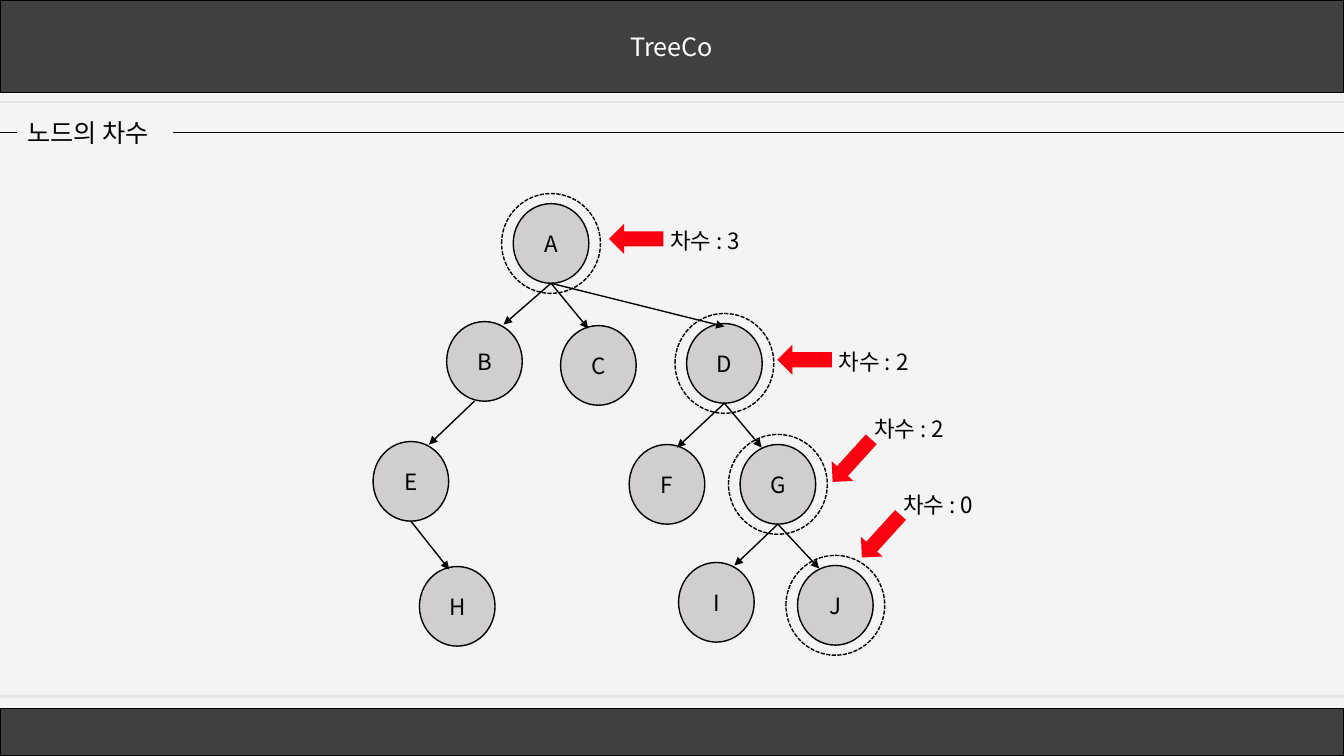
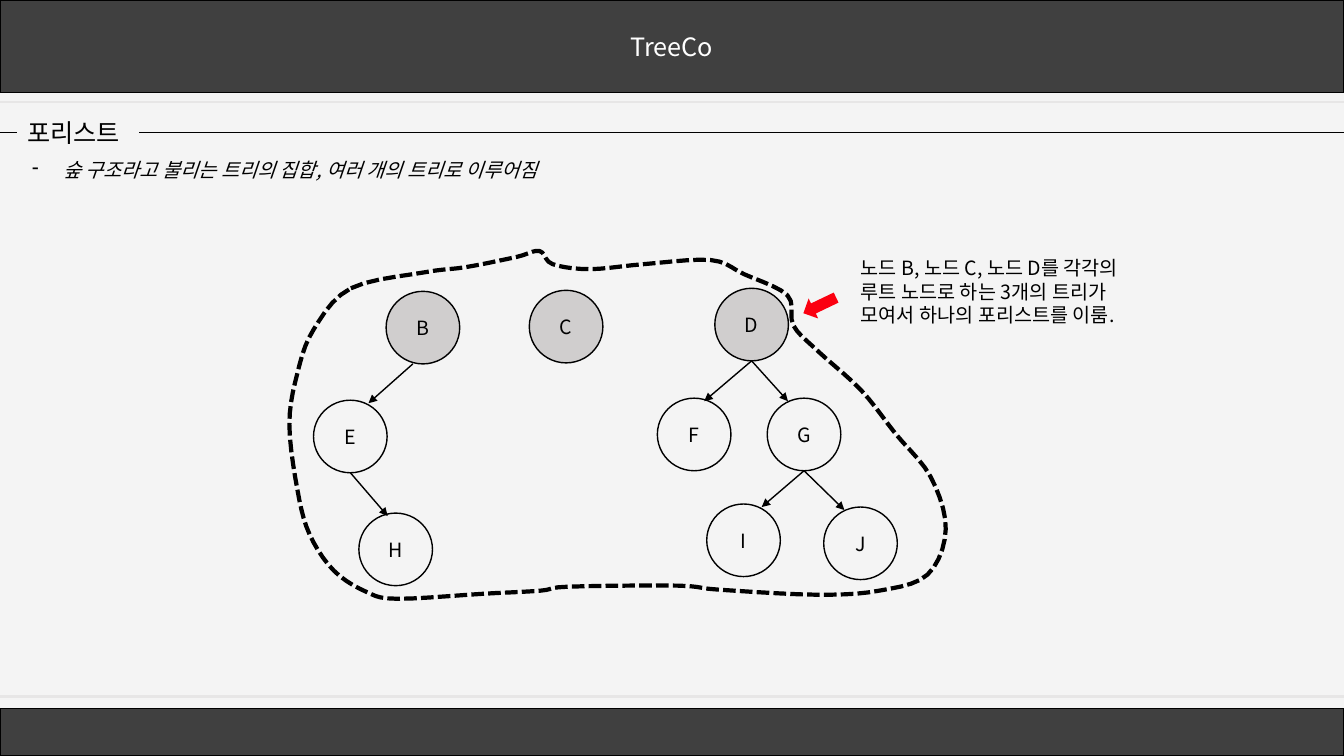
from itertools import chain

from lxml import etree
from pptx import Presentation
from pptx.dml.color import RGBColor
from pptx.enum import dml, shapes, text
from pptx.oxml.ns import qn
from pptx.util import Inches, Pt

BRAND = "TreeCo"
FONT = "Noto Sans CJK KR"
BLACK = RGBColor(0x00, 0x00, 0x00)
WHITE = RGBColor(0xFF, 0xFF, 0xFF)
PAPER = RGBColor(0xF4, 0xF4, 0xF4)
BAND = RGBColor(0x40, 0x40, 0x40)
RULE = RGBColor(0xE7, 0xE6, 0xE6)
NODE = RGBColor(0xD0, 0xCE, 0xCE)
RED = RGBColor(0xFB, 0x00, 0x10)
WIDTH, HEIGHT = 13.33, 7.5

# The tree that both slides show
CHILDREN = {"A": "BCD", "B": "E", "D": "FG", "E": "H", "G": "IJ"}
# Where an arrow meets its child, sideways from the child's top
TIP_SHIFT = {"B": 0.19, "C": -0.1, "D": 0, "E": 0.18, "F": 0.1,
             "G": -0.16, "H": -0.08, "I": 0.18, "J": -0.16}
TIP_DROP = 0.03
START_SHIFT = {"B": -0.1}

# Places are the left and top of each node
DEGREE = {
    "title": "노드의 차수", "title_width": 1.55,
    "node_size": (0.75, 0.79), "text_size": 16, "filled": "ABCDEFGHIJ",
    "places": {
        "A": (5.09, 2.02),
        "B": (4.43, 3.19), "C": (5.56, 3.23), "D": (6.81, 3.21),
        "E": (3.7, 4.38), "F": (6.24, 4.41), "G": (7.34, 4.41),
        "H": (4.16, 5.62), "I": (6.73, 5.58), "J": (7.91, 5.61),
    },
}
FOREST = {
    "title": "포리스트", "title_width": 1.21,
    "node_size": (0.73, 0.72), "text_size": 14, "filled": "BCD",
    "places": {
        "B": (3.83, 2.89), "C": (5.25, 2.88), "D": (7.09, 2.86),
        "E": (3.11, 3.97), "F": (6.52, 3.95), "G": (7.61, 3.95),
        "H": (3.56, 5.09), "I": (7.01, 5.0), "J": (8.17, 5.03),
    },
}

# How a pointer is drawn, and its label's corner measured from its centre
BESIDE = {"size": (0.3, 0.54), "rotation": 90, "label": (0.24, -0.17)}
ABOVE = {"size": (0.29, 0.57), "rotation": 42.2, "label": (0.12, -0.5)}
# Ringed node: centre of its pointer, and kind of pointer
POINTERS = {"A": ((6.31, 2.37), BESIDE), "D": ((7.98, 3.57), BESIDE),
            "G": ((8.45, 4.57), ABOVE), "J": ((8.74, 5.32), ABOVE)}
DEGREE_LABEL = "차수 : {}"
RING_SIZE = (0.98, 0.99)

FOREST_MEANING = "숲 구조라고 불리는 트리의 집합, 여러 개의 트리로 이루어짐"
FOREST_NOTE = ["노드 B, 노드 C, 노드 D를 각각의",
               "루트 노드로 하는 3개의 트리가",
               "모여서 하나의 포리스트를 이룸."]
# The dashed border turns at these corners, clockwise
BORDER = {
    "top": [(3.48, 2.86), (4.22, 2.7), (4.62, 2.65), (5.12, 2.55),
            (5.35, 2.49), (5.48, 2.62), (5.85, 2.67), (6.39, 2.62),
            (7.05, 2.58), (7.38, 2.72)],
    "right": [(7.81, 2.93), (7.87, 3.23), (8.12, 3.49), (8.54, 3.87),
              (8.88, 4.3), (9.23, 4.73), (9.38, 5.25), (9.2, 5.7)],
    "bottom": [(8.72, 5.86), (8.1, 5.9), (7.13, 5.85), (6.72, 5.81),
               (5.64, 5.82), (5.36, 5.86), (4.8, 5.89), (3.94, 5.94)],
    "left": [(3.63, 5.87), (3.31, 5.66), (3.07, 5.3), (2.95, 4.86),
             (2.87, 4.21), (2.95, 3.7), (3.11, 3.27)],
}
STEPS_PER_CORNER = 5


def write(shape, lines, size=16, color=BLACK, centered=False, wrap=False,
          italic=False, bullet=None):
    """Fill a shape with one paragraph per line, in one format."""
    frame = shape.text_frame
    frame.word_wrap = wrap
    anchors, fits = text.MSO_ANCHOR, text.MSO_AUTO_SIZE
    frame.vertical_anchor = anchors.MIDDLE if centered else anchors.TOP
    frame.auto_size = fits.NONE if centered else fits.SHAPE_TO_FIT_TEXT
    frame.margin_left = frame.margin_right = Inches(0.1)
    frame.margin_top = frame.margin_bottom = Inches(0.05)
    for index, line in enumerate(lines):
        paragraph = frame.add_paragraph() if index else frame.paragraphs[0]
        aligns = text.PP_ALIGN
        paragraph.alignment = aligns.CENTER if centered else aligns.LEFT
        run = paragraph.add_run()
        run.text = line
        font = run.font
        font.name, font.size, font.italic = FONT, Pt(size), italic
        font.color.rgb = color
        etree.SubElement(font._element, qn("a:ea")).set("typeface", FONT)
        if bullet:
            properties = paragraph._p.get_or_add_pPr()
            properties.set("marL", str(Inches(0.31)))
            properties.set("indent", str(-Inches(0.31)))
            etree.SubElement(properties, qn("a:buChar")).set("char", bullet)


def style(shape, fill=None, line=None, width=1, dashed=False):
    """Set fill and outline, without a shadow."""
    shape.shadow.inherit = False
    if fill is None:
        shape.fill.background()
    else:
        shape.fill.solid()
        shape.fill.fore_color.rgb = fill
    if line is None:
        shape.line.fill.background()
    else:
        shape.line.color.rgb = line
        shape.line.width = Pt(width)
    if dashed:
        shape.line.dash_style = dml.MSO_LINE.SQUARE_DOT


def add_figure(slide, kind, box, **look):
    """Add a preset shape at a box given in inches."""
    figure = slide.shapes.add_shape(kind, *map(Inches, box))
    style(figure, **look)
    return figure


def add_label(slide, box, lines, **form):
    """Add a text box at a box given in inches."""
    write(slide.shapes.add_textbox(*map(Inches, box)), lines, **form)


def add_line(slide, start, end, color=BLACK, width=1, arrow=False):
    """Add a straight line, with an arrowhead at its end if asked."""
    line = slide.shapes.add_connector(
        shapes.MSO_CONNECTOR.STRAIGHT, *map(Inches, (*start, *end)))
    line.line.color.rgb = color
    line.line.width = Pt(width)
    if arrow:
        tail = etree.SubElement(line.line._get_or_add_ln(), qn("a:tailEnd"))
        tail.set("type", "triangle")
    etree.SubElement(line._element.spPr, qn("a:effectLst"))


def box_around(center, size):
    """Give the box of a size that lies around a centre."""
    (x, y), (width, height) = center, size
    return x - width / 2, y - height / 2, width, height


def add_pointer(slide, center, size, rotation):
    """Add a red block arrow turned by some degrees."""
    pointer = add_figure(slide, shapes.MSO_SHAPE.DOWN_ARROW,
                         box_around(center, size), fill=RED)
    pointer.rotation = rotation


def add_page(deck, content):
    """Add a slide with bands, rules and its title."""
    slide = deck.slides.add_slide(deck.slide_layouts[5])
    rectangle = shapes.MSO_SHAPE.RECTANGLE
    header = add_figure(slide, rectangle, (0, 0, WIDTH, 0.92),
                        fill=BAND, line=BLACK)
    write(header, [BRAND], size=18, color=WHITE, centered=True, wrap=True)
    add_figure(slide, rectangle, (0, 7.03, WIDTH, 0.47), fill=BAND, line=BLACK)
    for y in (1.01, 6.91):
        add_line(slide, (0, y), (WIDTH, y), color=RULE, width=1.5)
    title, left, width = slide.shapes.title, 0.17, content["title_width"]
    title.left, title.top = Inches(left), Inches(1.11)
    title.width, title.height = Inches(width), Inches(0.4)
    write(title, [content["title"]], size=18)
    for start, end in ((0, left), (left + width, WIDTH)):
        add_line(slide, (start, 1.31), (end, 1.31), width=0.5)
    return slide


def add_tree(slide, content):
    """Draw the nodes, then an arrow from each parent to each child."""
    places = content["places"]
    width, height = content["node_size"]
    for name, place in places.items():
        fill = NODE if name in content["filled"] else None
        node = add_figure(slide, shapes.MSO_SHAPE.OVAL,
                          (*place, width, height), fill=fill, line=BLACK)
        write(node, [name], size=content["text_size"], centered=True,
              wrap=True)
    for parent in filter(places.get, CHILDREN):
        left, top = places[parent]
        start = (left + width / 2 + START_SHIFT.get(parent, 0), top + height)
        for child in CHILDREN[parent]:
            left, top = places[child]
            tip = (left + width / 2 + TIP_SHIFT[child], top + TIP_DROP)
            add_line(slide, start, tip, arrow=True)


def smooth_loop(corners, steps):
    """Round a closed loop of corners with a Catmull-Rom curve."""
    loop = []
    for index, here in enumerate(corners):
        before = corners[index - 1]
        after, beyond = (corners[(index + ahead) % len(corners)]
                         for ahead in (1, 2))
        for step in range(steps):
            t = step / steps
            loop.append(tuple(
                b + t * (c - a + t * (2 * a - 5 * b + 4 * c - d
                                      + t * (3 * b - a - 3 * c + d))) / 2
                for a, b, c, d in zip(before, here, after, beyond)))
    return loop


def add_border(slide):
    """Draw the dashed border around the forest."""
    corners = list(chain.from_iterable(BORDER.values()))
    loop = [(Inches(x), Inches(y))
            for x, y in smooth_loop(corners, STEPS_PER_CORNER)]
    border = slide.shapes.build_freeform(*loop[0])
    border.add_line_segments(loop[1:], close=True)
    style(border.convert_to_shape(), line=BLACK, width=3, dashed=True)


def build_degree(deck):
    """Build the slide that counts the children of ringed nodes."""
    slide = add_page(deck, DEGREE)
    add_tree(slide, DEGREE)
    for name, (center, pointer) in POINTERS.items():
        node_center = [start + length / 2 for start, length in
                       zip(DEGREE["places"][name], DEGREE["node_size"])]
        add_figure(slide, shapes.MSO_SHAPE.OVAL,
                   box_around(node_center, RING_SIZE), line=BLACK, dashed=True)
        add_pointer(slide, center, pointer["size"], pointer["rotation"])
        corner = [c + shift for c, shift in zip(center, pointer["label"])]
        degree = len(CHILDREN.get(name, ""))
        add_label(slide, (*corner, 0.98, 0.37), [DEGREE_LABEL.format(degree)])


def build_forest(deck):
    """Build the slide on the forest left when the root is gone."""
    slide = add_page(deck, FOREST)
    add_label(slide, (0.22, 1.52, 5.82, 0.34), [FOREST_MEANING],
              size=14, italic=True, bullet="-")
    add_tree(slide, FOREST)
    add_pointer(slide, (8.13, 3.03), (0.22, 0.36), 64.4)
    add_label(slide, (8.44, 2.49, 3.97, 0.81), FOREST_NOTE, size=14, wrap=True)
    add_border(slide)


def main():
    """Build and save the deck."""
    deck = Presentation()
    deck.slide_width, deck.slide_height = Inches(WIDTH), Inches(HEIGHT)
    background = deck.slide_master.background.fill
    background.solid()
    background.fore_color.rgb = PAPER
    build_degree(deck)
    build_forest(deck)
    deck.save("out.pptx")


main()
